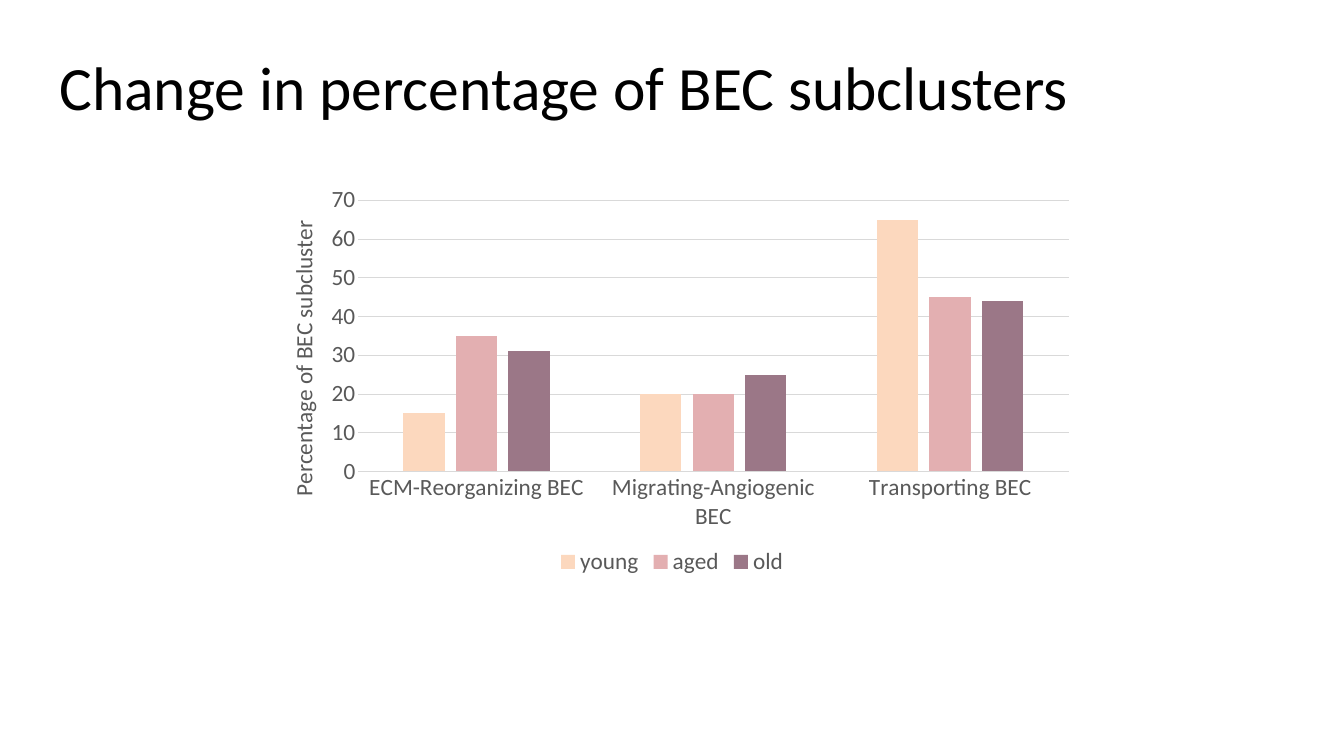
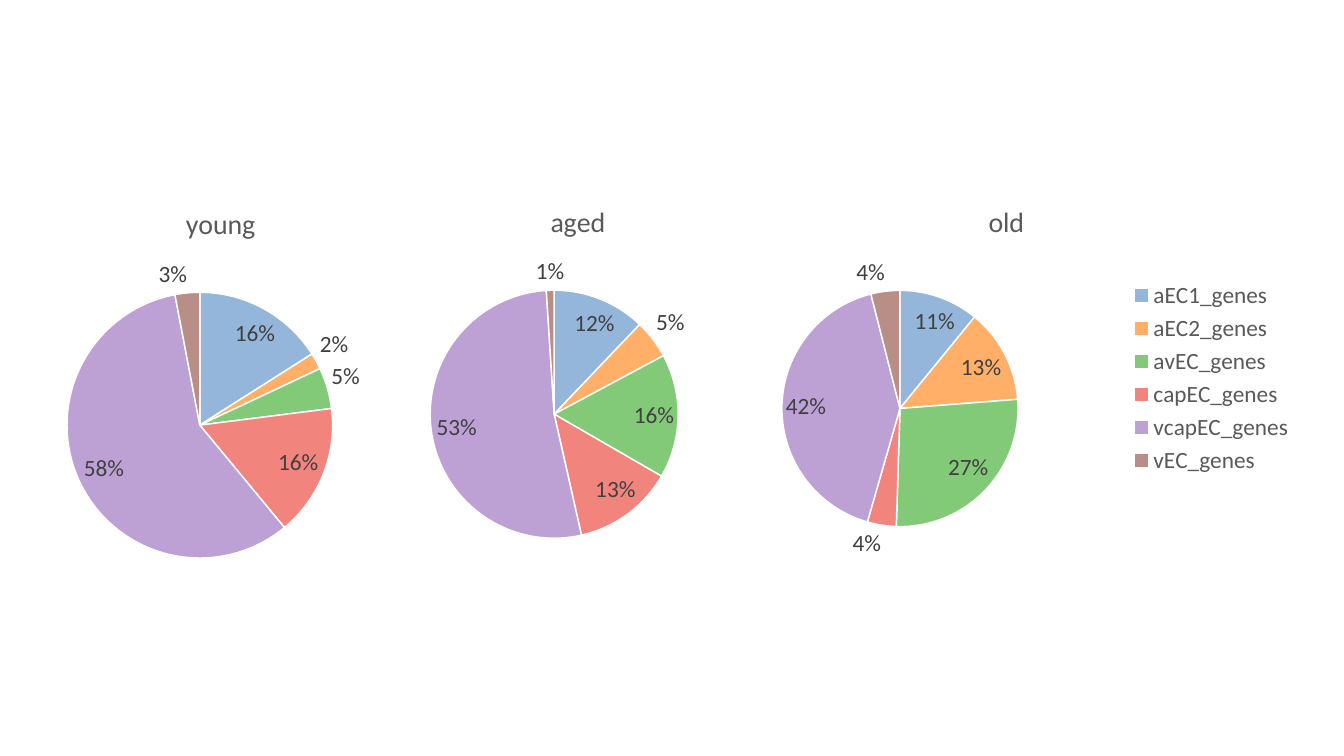
"""Build two slides charting BEC subclusters by age."""
from lxml.etree import SubElement
from pptx import Presentation
from pptx.chart.data import CategoryChartData as Data
from pptx.dml.color import RGBColor as RGB
from pptx.enum.chart import XL_CHART_TYPE as Kind, XL_LABEL_POSITION as Spot
from pptx.enum.chart import XL_LEGEND_POSITION as Side, XL_TICK_MARK as Tick
from pptx.enum.text import MSO_ANCHOR as Anchor, MSO_AUTO_SIZE as Fit, PP_ALIGN as Align
from pptx.oxml.ns import qn
from pptx.util import Inches, Pt

FONT = "Calibri"
WIDE, HIGH = 19.26, 10.83
HUES = {"ink": "000000", "text": "595959", "label": "404040", "grid": "D9D9D9",
        "white": "FFFFFF"}
AGES = {"young": "FCD8BE", "aged": "E3AFB1", "old": "9B7787"}
GENES = {"aEC1_genes": "94B6DB", "aEC2_genes": "FFAF68", "avEC_genes": "82CA77",
         "capEC_genes": "F2847E", "vcapEC_genes": "BDA0D4", "vEC_genes": "B88E86"}

TITLE = "Change in percentage of BEC subclusters"
AXIS = "Percentage of BEC subcluster"
BARS = {"ECM-Reorganizing BEC": (15, 35, 31),
        "Migrating-Angiogenic BEC": (20, 20, 25),
        "Transporting BEC": (65, 45, 44)}
PIES = [
    {"age": "young", "vals": (16, 2, 5, 16, 58, 3), "at": (-1.07, 2.7),
     "hub": (2.87, 6.1), "r": 1.92},
    {"age": "aged", "vals": (12, 5, 16, 13, 52, 1), "at": (4.05, 2.68),
     "hub": (7.96, 5.95), "r": 1.78},
    {"age": "old", "vals": (11, 13, 27, 4, 42, 4), "at": (10.19, 2.68),
     "hub": (12.9, 5.86), "r": 1.7},
]
BAR_BOX = (3.71, 2.52, 11.84, 5.8)
PIE_SIZE = (8.46, 5.47)


def style(font, size, hue):
    font.name, font.size, font.bold = FONT, Pt(size), False
    font.color.rgb = RGB.from_string(HUES[hue])


def paint(fmt, hue):
    fmt.fill.solid()
    fmt.fill.fore_color.rgb = RGB.from_string(hue)


def rule(line, hue, width):
    line.color.rgb = RGB.from_string(HUES[hue])
    line.width = Pt(width)


def place(node, index, shares, inner=True):
    for old in node.findall(qn("c:layout")):
        node.remove(old)
    lay = node.makeelement(qn("c:layout"), {})
    node.insert(index, lay)
    man = SubElement(lay, qn("c:manualLayout"))
    rows = [("layoutTarget", "inner")] if inner else []
    rows += [("xMode", "edge"), ("yMode", "edge")]
    rows += zip("xywh", shares)
    for tag, val in rows:
        SubElement(man, qn("c:" + tag)).set("val", str(val))


def draw(slide, kind, cats, series, box, plot):
    data = Data()
    data.categories = cats
    for name, vals in series:
        data.add_series(name, vals)
    chart = slide.shapes.add_chart(kind, *map(Inches, box), data).chart
    style(chart.font, 24, "ink")
    area = chart.plots[0]._element.getparent()
    place(area, 0, plot)
    return chart


def legend(chart, side):
    chart.has_legend = True
    chart.legend.position = side
    chart.legend.include_in_layout = False
    style(chart.legend.font, 24, "text")


def head(slide, text):
    box = slide.shapes.title
    box.left, box.top, box.width, box.height = map(Inches, (0.75, 0.77, 18.52, 2.09))
    frame = box.text_frame
    frame.text = text
    frame.auto_size, frame.vertical_anchor = Fit.NONE, Anchor.TOP
    par = frame.paragraphs[0]
    par.alignment, par.line_spacing = Align.LEFT, 0.9
    style(par.font, 63.5, "ink")


def columns(slide):
    series = list(zip(AGES, zip(*BARS.values())))
    chart = draw(slide, Kind.COLUMN_CLUSTERED, list(BARS), series, BAR_BOX,
                 (0.12, 0.06, 0.86, 0.67))
    chart.has_title = False
    plot = chart.plots[0]
    plot.gap_width, plot.overlap, plot.vary_by_categories = 219, -27, False
    for ser, hue in zip(plot.series, AGES.values()):
        paint(ser.format, hue)
    cat, val = chart.category_axis, chart.value_axis
    for axis in (cat, val):
        axis.major_tick_mark = axis.minor_tick_mark = Tick.NONE
        style(axis.tick_labels.font, 24, "text")
    rule(cat.format.line, "grid", 0.75)
    val.format.line.fill.background()
    rule(val.major_gridlines.format.line, "grid", 0.75)
    val.minimum_scale, val.maximum_scale, val.major_unit = 0, 70, 10
    name = val.axis_title
    name.text_frame.text = AXIS
    style(name.text_frame.paragraphs[0].font, 24, "text")
    name.text_frame._txBody.bodyPr.set("rot", "-5400000")
    name.text_frame._txBody.bodyPr.set("vert", "horz")
    place(name._element, 1, (0.03, 0.1), False)
    legend(chart, Side.BOTTOM)


def pie(slide, age, vals, at, hub, r):
    last = age == PIES[-1]["age"]
    cats = list(GENES) if last else [str(n + 1) for n in range(len(vals))]
    spot = [round((h - r - a) / s, 2) for h, a, s in zip(hub, at, PIE_SIZE)]
    size = [round(2 * r / s, 2) for s in PIE_SIZE]
    chart = draw(slide, Kind.PIE, cats, [(age, vals)], at + PIE_SIZE, spot + size)
    chart.has_title = True
    chart.chart_title.text_frame.text = age
    style(chart.chart_title.text_frame.paragraphs[0].font, 28.8, "text")
    plot = chart.plots[0]
    plot.vary_by_categories = True
    for n, hue in enumerate(GENES.values()):
        fmt = plot.series[0].points[n].format
        paint(fmt, hue)
        rule(fmt.line, "white", 1.5)
    tags = plot.series[0].data_labels
    tags.show_percentage, tags.show_value = True, False
    tags.number_format, tags.number_format_is_linked = "0%", False
    tags.position = Spot.BEST_FIT
    style(tags.font, 24, "label")
    chart.has_legend = False
    if last:
        legend(chart, Side.RIGHT)


def main():
    deck = Presentation()
    deck.slide_width, deck.slide_height = Inches(WIDE), Inches(HIGH)
    first = deck.slides.add_slide(deck.slide_layouts[5])
    head(first, TITLE)
    columns(first)
    second = deck.slides.add_slide(deck.slide_layouts[6])
    for item in PIES:
        pie(second, **item)
    deck.save("out.pptx")


if __name__ == "__main__":
    main()
